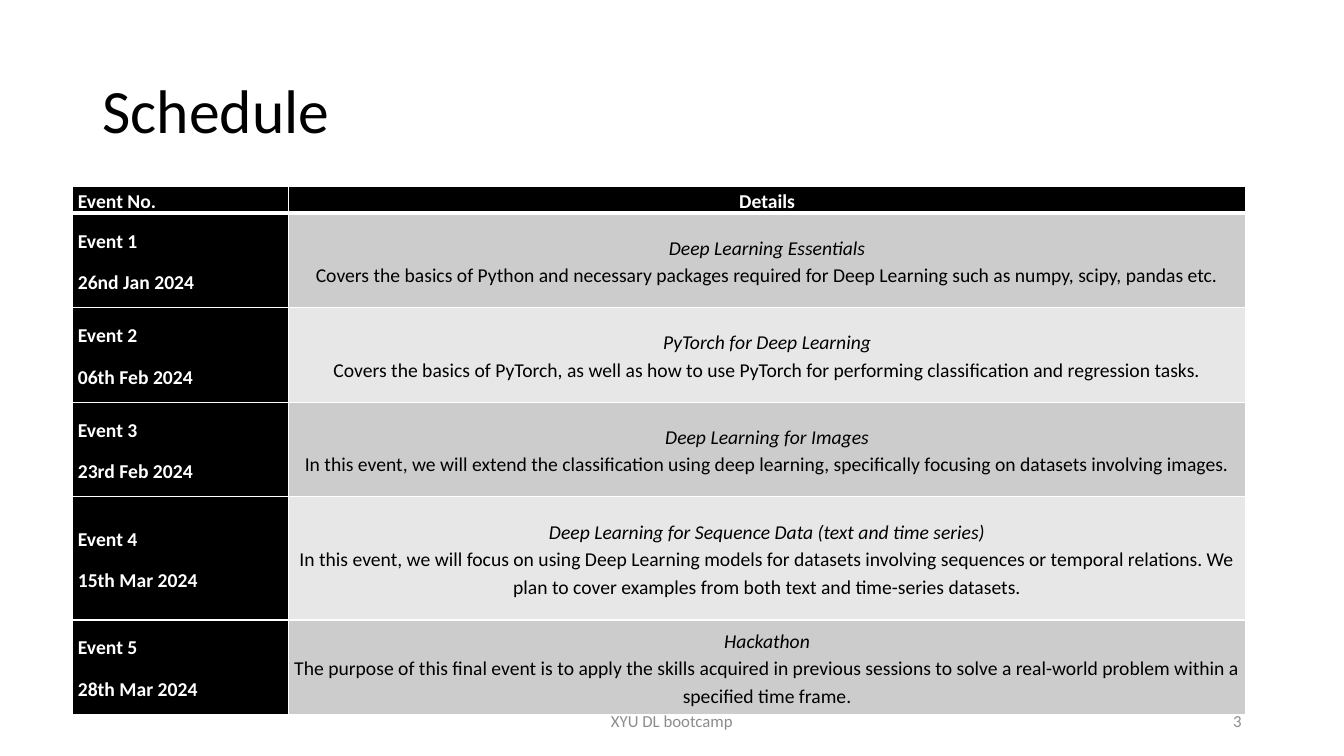
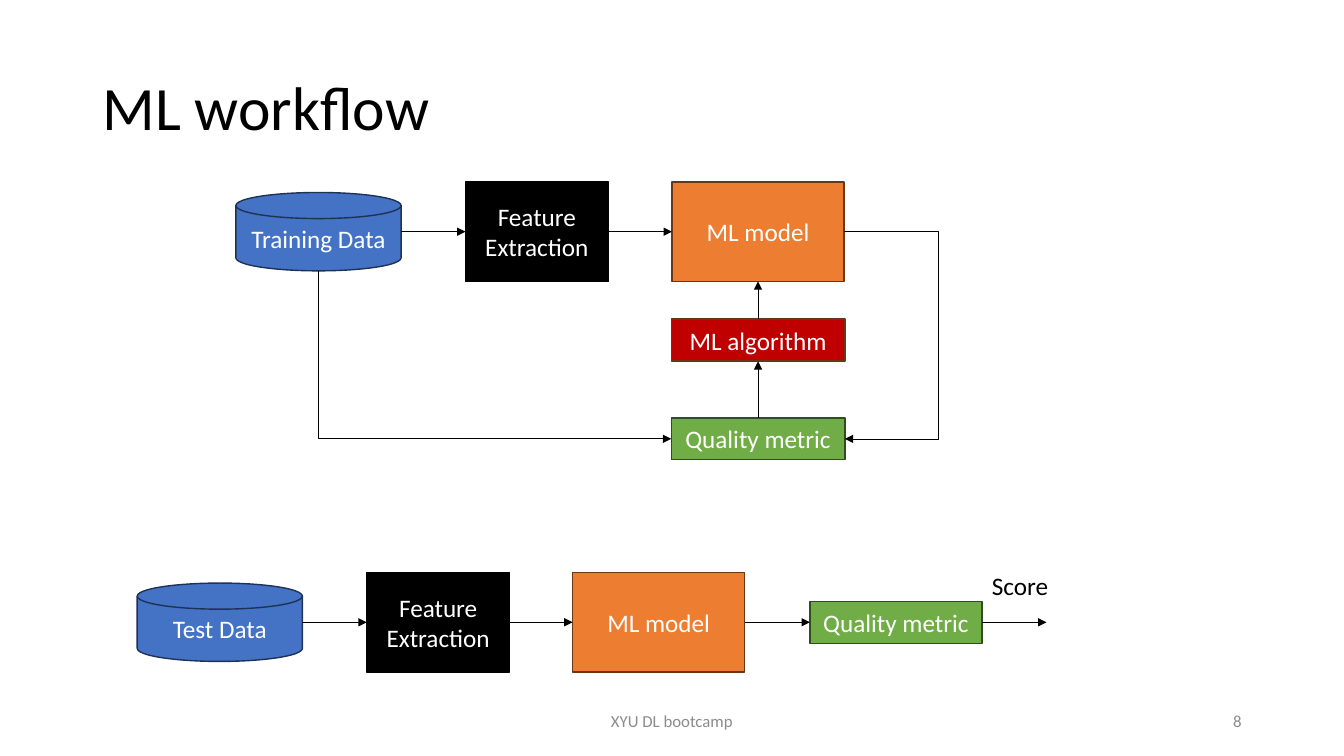
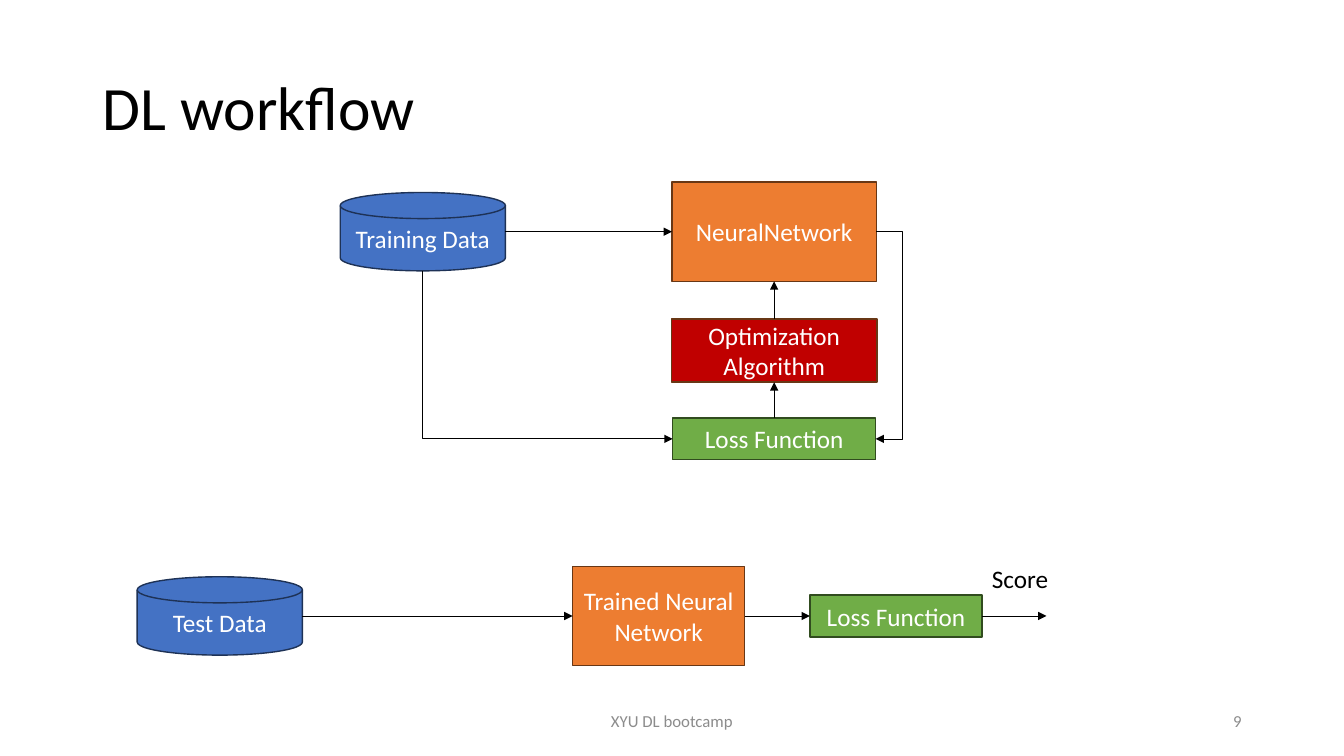
import copy
import itertools

import lxml.etree
import pptx
import pptx.dml.color
import pptx.enum.shapes
import pptx.enum.text
import pptx.oxml.ns
import pptx.util

Pt = pptx.util.Pt
RGBColor = pptx.dml.color.RGBColor
MSO_SHAPE = pptx.enum.shapes.MSO_SHAPE
MSO_CONNECTOR = pptx.enum.shapes.MSO_CONNECTOR
MSO_ANCHOR = pptx.enum.text.MSO_ANCHOR
PP_ALIGN = pptx.enum.text.PP_ALIGN
qn = pptx.oxml.ns.qn
SubElement = lxml.etree.SubElement

FONT = "Calibri"
BLACK = RGBColor(0x00, 0x00, 0x00)
WHITE = RGBColor(0xFF, 0xFF, 0xFF)
FOOTER_GREY = RGBColor(0x8C, 0x8C, 0x8C)
BAND_DARK = RGBColor(0xCC, 0xCC, 0xCC)
BAND_LIGHT = RGBColor(0xE7, 0xE7, 0xE7)
BLUE = RGBColor(0x44, 0x72, 0xC4)
BLUE_EDGE = RGBColor(0x1E, 0x32, 0x56)
ORANGE = RGBColor(0xED, 0x7D, 0x31)
BROWN_EDGE = RGBColor(0x68, 0x37, 0x15)
GREEN = RGBColor(0x70, 0xAD, 0x47)
GREEN_EDGE = RGBColor(0x31, 0x4C, 0x1F)
RED = RGBColor(0xC0, 0x00, 0x00)

# Preset shape, fill, outline and height of each kind of step
STEPS = {
    "data": (MSO_SHAPE.FLOWCHART_MAGNETIC_DISK, BLUE, BLUE_EDGE, 56),
    "features": (MSO_SHAPE.RECTANGLE, BLACK, BLACK, 71),
    "model": (MSO_SHAPE.RECTANGLE, ORANGE, BROWN_EDGE, 71),
    "metric": (MSO_SHAPE.RECTANGLE, GREEN, GREEN_EDGE, 30),
    "algorithm": (MSO_SHAPE.RECTANGLE, RED, BROWN_EDGE, 30),
}


def add_step(slide, kind, text, center_x, center_y, width, height=None):
    preset, fill, edge, usual_height = STEPS[kind]
    height = height or usual_height
    step = slide.shapes.add_shape(preset, Pt(center_x - width / 2), Pt(center_y - height / 2),
                                  Pt(width), Pt(height))
    step.shadow.inherit = False
    step.fill.solid()
    step.fill.fore_color.rgb = fill
    step.line.color.rgb = edge
    step.line.width = Pt(1)
    step.text_frame.text = text
    step.text_frame.vertical_anchor = MSO_ANCHOR.MIDDLE
    label = step.text_frame.paragraphs[0]
    label.alignment = PP_ALIGN.CENTER
    label.runs[0].font.name = FONT
    label.runs[0].font.size = Pt(18)
    label.runs[0].font.color.rgb = WHITE
    return step


def add_arrow(slide, kind, begin, end, arrowhead="a:tailEnd"):
    arrow = slide.shapes.add_connector(kind, *begin, *end)
    arrow.line.color.rgb = BLACK
    arrow.line.width = Pt(0.5)
    properties = arrow._element.spPr
    SubElement(properties.find(qn("a:ln")), qn(arrowhead), type="triangle")
    SubElement(properties, qn("a:effectLst"))
    return arrow


deck = pptx.Presentation()
deck.slide_width = Pt(960)
deck.slide_height = Pt(540)

# Titles and footers
slides = []
for title, title_top, number in [("Schedule", 29, "3"), ("ML workflow", 26.5, "8"),
                                 ("DL workflow", 26.5, "9")]:
    slide = deck.slides.add_slide(deck.slide_layouts[5])
    slides.append(slide)
    heading = slide.shapes.title
    heading.left, heading.top, heading.width, heading.height = Pt(66), Pt(title_top), Pt(828), Pt(104.5)
    heading.text_frame.text = title
    heading.text_frame.vertical_anchor = MSO_ANCHOR.MIDDLE
    heading_line = heading.text_frame.paragraphs[0]
    heading_line.alignment = PP_ALIGN.LEFT
    heading_line.line_spacing = 0.9
    heading_line.runs[0].font.name = FONT
    heading_line.runs[0].font.size = Pt(44)
    heading_line.runs[0].font.color.rgb = BLACK

    for text, left, width, alignment in [("XYU DL bootcamp", 318, 324, PP_ALIGN.CENTER),
                                         (number, 678, 216, PP_ALIGN.RIGHT)]:
        footer = slide.shapes.add_textbox(Pt(left), Pt(500.5), Pt(width), Pt(28.75)).text_frame
        footer.word_wrap = True
        footer.vertical_anchor = MSO_ANCHOR.MIDDLE
        footer.text = text
        footer.paragraphs[0].alignment = alignment
        footer_font = footer.paragraphs[0].runs[0].font
        footer_font.name = FONT
        footer_font.size = Pt(12)
        footer_font.color.rgb = FOOTER_GREY

schedule_slide, ml_slide, dl_slide = slides

# Schedule
events = [
    ("Event No.", "Details"),
    ("Event 1\n26nd Jan 2024",
     "Deep Learning Essentials\vCovers the basics of Python and necessary packages required "
     "for Deep Learning such as numpy, scipy, pandas etc."),
    ("Event 2\n06th Feb 2024",
     "PyTorch for Deep Learning\vCovers the basics of PyTorch, as well as how to use PyTorch "
     "for performing classification and regression tasks."),
    ("Event 3\n23rd Feb 2024",
     "Deep Learning for Images\vIn this event, we will extend the classification using deep "
     "learning, specifically focusing on datasets involving images."),
    ("Event 4\n15th Mar 2024",
     "Deep Learning for Sequence Data (text and time series)\vIn this event, we will focus on "
     "using Deep Learning models for datasets involving sequences or temporal relations. "
     "We plan to cover examples from both text and time-series datasets."),
    ("Event 5\n28th Mar 2024",
     "Hackathon\vThe purpose of this final event is to apply the skills acquired in previous "
     "sessions to solve a real-world problem within a specified time frame."),
]
row_heights = [19, 67.5, 67.5, 67.5, 88, 67.5]
schedule = schedule_slide.shapes.add_table(len(events), 2, Pt(52), Pt(133), Pt(838),
                                           Pt(sum(row_heights))).table
schedule.columns[0].width = Pt(154)
schedule.columns[1].width = Pt(684)
for row, (event, height) in enumerate(zip(events, row_heights)):
    schedule.rows[row].height = Pt(height)
    for column, text in enumerate(event):
        cell = schedule.cell(row, column)
        is_details = row > 0 and column == 1
        cell.margin_left = cell.margin_right = Pt(3.6)
        cell.margin_top = cell.margin_bottom = Pt(0)
        cell.vertical_anchor = MSO_ANCHOR.MIDDLE
        cell.text_frame.text = text
        for paragraph in cell.text_frame.paragraphs:
            paragraph.alignment = PP_ALIGN.CENTER if column else PP_ALIGN.JUSTIFY
            paragraph.line_spacing = 1.15
            paragraph.space_after = Pt(10)
            for position, run in enumerate(paragraph.runs):
                run.font.name = FONT
                run.font.size = Pt(14)
                run.font.bold = not is_details
                run.font.italic = is_details and position == 0
                run.font.color.rgb = BLACK if is_details else WHITE
            for line_break in paragraph._p.findall(qn("a:br")):
                line_break.insert(0, copy.deepcopy(paragraph.runs[0]._r.rPr))
        for side in ("L", "R", "T", "B"):
            under_header = (row, side) in [(0, "B"), (1, "T")]
            border = SubElement(cell._tc.get_or_add_tcPr(), qn("a:ln" + side),
                                w=str(int(Pt(3 if under_header else 1))))
            SubElement(SubElement(border, qn("a:solidFill")), qn("a:srgbClr"), val=str(WHITE))
        cell.fill.solid()
        band = BAND_DARK if row % 2 else BAND_LIGHT
        cell.fill.fore_color.rgb = band if is_details else BLACK

# Workflows: (kind, text, centre x, width) along each row
TRAIN_Y, METRIC_Y = 165.5, 313.5
workflows = [
    (ml_slide,
     [("data", "Training Data", 227.5, 118), ("features", "Feature Extraction", 383.5, 102),
      ("model", "ML model", 541.5, 123)],
     ("ML algorithm", 243, 124, 30), ("Quality metric", 124), 669,
     [("data", "Test Data", 157, 118), ("features", "Feature Extraction", 313, 102),
      ("model", "ML model", 470.5, 123), ("metric", "Quality metric", 640, 123)], 444.5),
    (dl_slide,
     [("data", "Training Data", 302, 118), ("model", "NeuralNetwork", 553, 146)],
     ("Optimization Algorithm", 250.5, 147, 45), ("Loss Function", 145), 644.5,
     [("data", "Test Data", 157, 118), ("model", "Trained Neural Network", 470.5, 123),
      ("metric", "Loss Function", 640, 123)], 440),
]
for slide, train_row, algorithm_step, metric_step, bend_x, test_row, test_y in workflows:
    rows = []
    for row, center_y in [(train_row, TRAIN_Y), (test_row, test_y)]:
        steps = [add_step(slide, kind, text, x, center_y, width) for kind, text, x, width in row]
        rows.append(steps)
        for start, end in itertools.pairwise(steps):
            arrow = add_arrow(slide, MSO_CONNECTOR.STRAIGHT,
                              (start.left + start.width, Pt(center_y)), (end.left, Pt(center_y)))
            if start is not steps[0]:
                arrow.begin_connect(start, 3)
            arrow.end_connect(end, 1)

    # Training loop below the model
    training_data, model = rows[0][0], rows[0][-1]
    column_x = train_row[-1][2]
    text, center_y, width, height = algorithm_step
    algorithm = add_step(slide, "algorithm", text, column_x, center_y, width, height)
    text, width = metric_step
    metric = add_step(slide, "metric", text, column_x, METRIC_Y, width)
    for lower, upper in [(metric, algorithm), (algorithm, model)]:
        upward = add_arrow(slide, MSO_CONNECTOR.STRAIGHT, (Pt(column_x), lower.top),
                           (Pt(column_x), upper.top + upper.height))
        upward.begin_connect(lower, 0)
        upward.end_connect(upper, 2)

    prediction = add_arrow(slide, MSO_CONNECTOR.ELBOW, (model.left + model.width, Pt(TRAIN_Y)),
                           (metric.left + metric.width, Pt(METRIC_Y)))
    prediction.begin_connect(model, 3)
    prediction.end_connect(metric, 3)
    bend = (Pt(bend_x) - prediction.begin_x) / (prediction.end_x - prediction.begin_x)
    bend_guides = prediction._element.spPr.find(qn("a:prstGeom")).find(qn("a:avLst"))
    SubElement(bend_guides, qn("a:gd"), name="adj1", fmla=f"val {round(bend * 100000)}")

    # Drawn from the metric back to the disk, whose connection site 3 is its bottom
    disk_bottom = (Pt(train_row[0][2]), training_data.top + training_data.height)
    target = add_arrow(slide, MSO_CONNECTOR.ELBOW, (metric.left, Pt(METRIC_Y)), disk_bottom,
                       "a:headEnd")
    target.begin_connect(metric, 1)
    target.end_connect(training_data, 3)
    target.end_x, target.end_y = disk_bottom
    target._element.spPr.find(qn("a:prstGeom")).set("prst", "bentConnector2")

    # Score leaving the test row
    test_metric = rows[1][-1]
    score_x = test_metric.left + test_metric.width
    score_arrow = add_arrow(slide, MSO_CONNECTOR.STRAIGHT, (score_x, Pt(test_y)),
                            (score_x + Pt(46), Pt(test_y)))
    score_arrow.begin_connect(test_metric, 3)
    score = slide.shapes.add_textbox(score_x, Pt(test_y - 41), Pt(61), Pt(29)).text_frame
    score.word_wrap = True
    score.text = "Score"
    score_font = score.paragraphs[0].runs[0].font
    score_font.name = FONT
    score_font.size = Pt(18)
    score_font.color.rgb = BLACK

deck.save("out.pptx")
